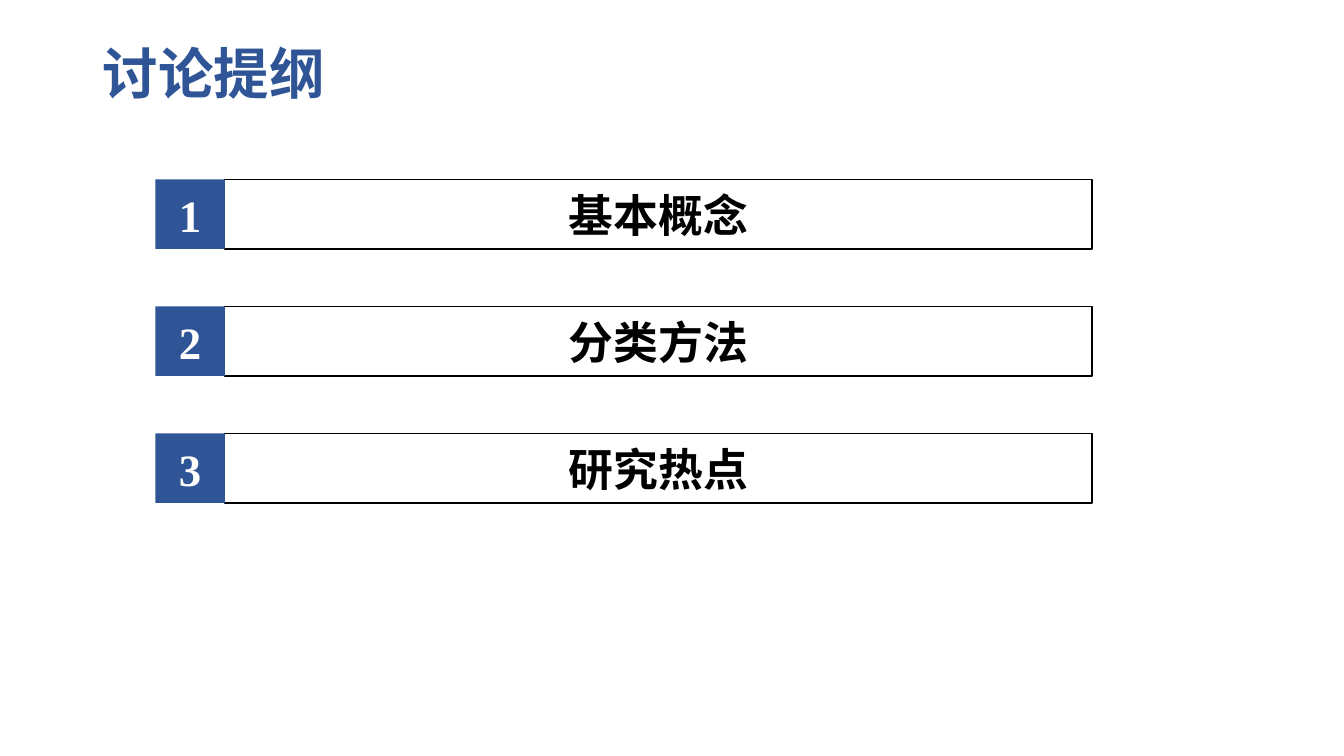
from lxml import etree
from pptx import Presentation
from pptx.dml.color import RGBColor
from pptx.enum.shapes import MSO_SHAPE
from pptx.enum.text import MSO_ANCHOR, PP_ALIGN
from pptx.oxml.ns import qn
from pptx.util import Inches, Pt

RECTANGLE = MSO_SHAPE.RECTANGLE
MIDDLE = MSO_ANCHOR.MIDDLE
LEFT, CENTER = PP_ALIGN.LEFT, PP_ALIGN.CENTER
BLUE, WHITE, BLACK = "2F5597", "FFFFFF", "000000"
LATIN_FONT, CHINESE_FONT = "Times New Roman", "Noto Sans CJK SC"
TOPICS = ["基本概念", "分类方法", "研究热点"]
ROW_PITCH, ROW_HEIGHT, NUMBER_WIDTH = 1.26, 0.69, 0.69


def color(value):
    """Turn a hex string into a colour."""
    return RGBColor.from_string(value)


def write(shape, text, size, ink, font, align):
    """Write one bold, vertically centred line into a shape."""
    frame = shape.text_frame
    frame.word_wrap = True
    frame.vertical_anchor = MIDDLE
    para = frame.paragraphs[0]
    para.alignment = align
    span = para.add_run()
    span.text = text
    span.font.size = Pt(size)
    span.font.bold = True
    span.font.color.rgb = color(ink)
    span.font.name = font
    east_asian = etree.SubElement(span._r.get_or_add_rPr(), qn("a:ea"))
    east_asian.set("typeface", CHINESE_FONT)
    return para


def add_title(page, text, left, top, width, height):
    """Place the slide title in the given box."""
    box = page.shapes.add_textbox(*map(Inches, (left, top, width, height)))
    para = write(box, text, 39.6, BLUE, CHINESE_FONT, LEFT)
    para.line_spacing = 0.9


def add_label(page, text, left, top, width, height, fill, ink, line=None):
    """Place a filled rectangle with centred text, outlined if a line is given."""
    box = page.shapes.add_shape(RECTANGLE, *map(Inches, (left, top, width, height)))
    box.shadow.inherit = False
    box.fill.solid()
    box.fill.fore_color.rgb = color(fill)
    if line:
        box.line.color.rgb = color(line)
        box.line.width = Pt(1)
    else:
        box.line.fill.background()
    write(box, text, 32, ink, LATIN_FONT, CENTER)


def add_outline(page, topics, left, top, width):
    """Stack numbered topic bars at an even pitch."""
    for index, topic in enumerate(topics):
        row_top = top + index * ROW_PITCH
        add_label(page, topic, left + NUMBER_WIDTH, row_top,
                  width - NUMBER_WIDTH, ROW_HEIGHT, WHITE, BLACK, BLACK)
        add_label(page, str(index + 1), left, row_top,
                  NUMBER_WIDTH, ROW_HEIGHT, BLUE, WHITE)


def main():
    """Build the discussion outline slide."""
    deck = Presentation()
    deck.slide_width, deck.slide_height = Inches(13.33), Inches(7.5)
    page = deck.slides.add_slide(deck.slide_layouts[6])
    add_title(page, "讨论提纲", 0.92, 0.4, 11.5, 0.72)
    add_outline(page, TOPICS, 1.54, 1.78, 9.29)
    deck.save("out.pptx")


if __name__ == "__main__":
    main()
